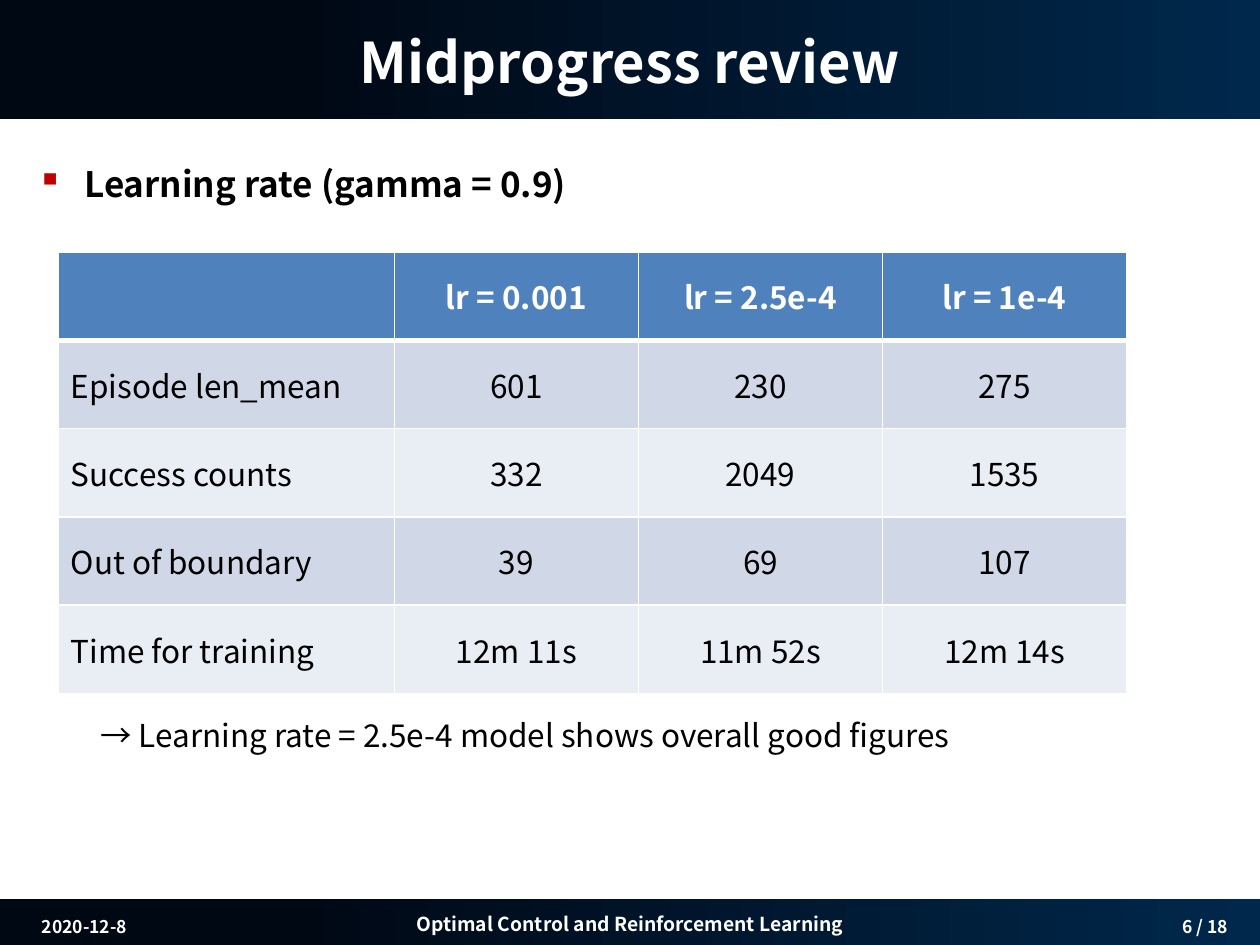
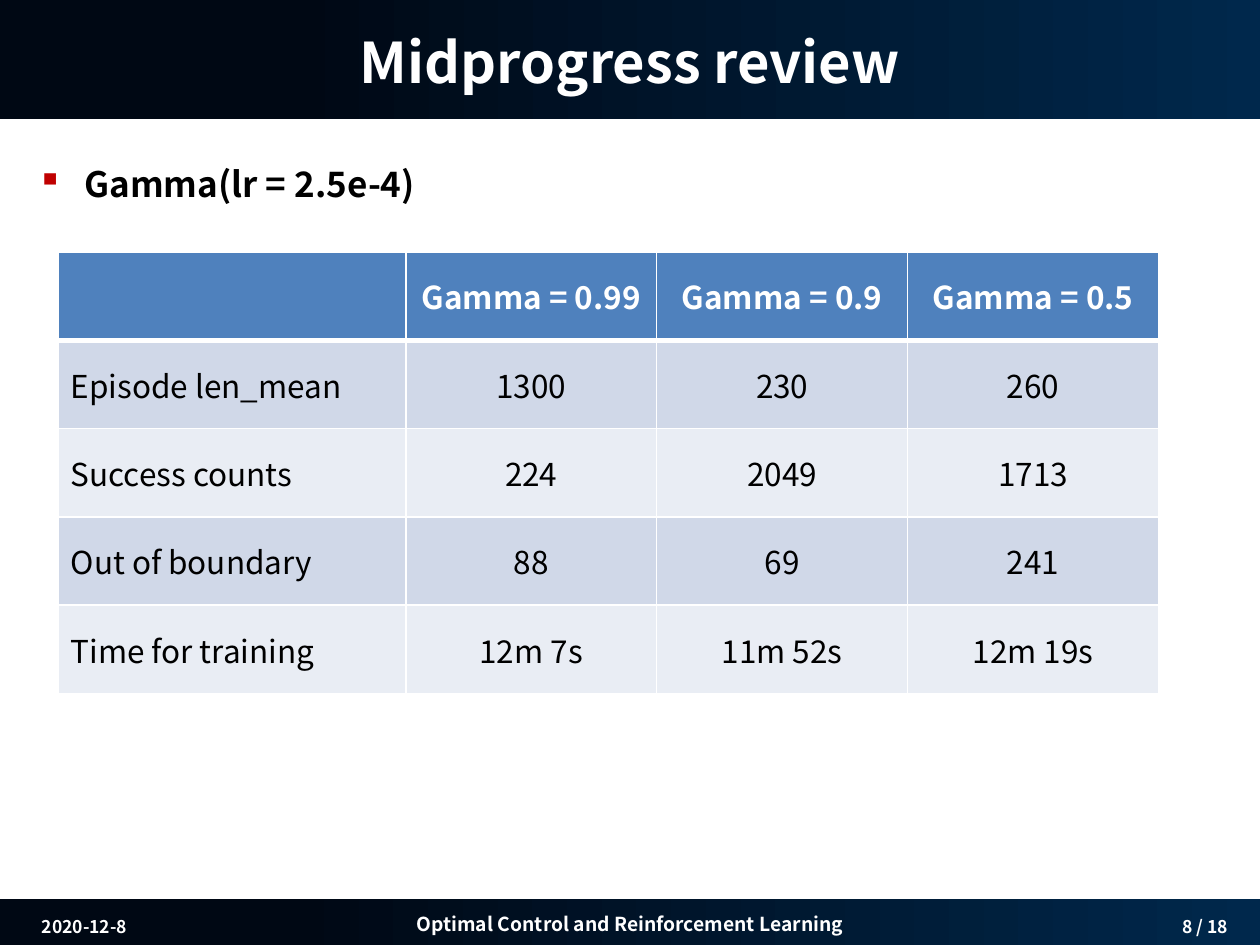
from lxml import etree
from pptx import Presentation
from pptx.dml.color import RGBColor
from pptx.enum import shapes, text
from pptx.oxml import ns
from pptx.util import Cm, Pt

FONT = "Noto Sans CJK KR"
COLORS = {
    "white": "FFFFFF",
    "black": "000000",
    "band_light": "00284C",
    "band_dark": "000814",
    "bullet": "C00000",
    "header": "4F81BD",
    "row_odd": "D0D8E8",
    "row_even": "E9EDF4",
}
TITLE = "Midprogress review"
COURSE = "Optimal Control and Reinforcement Learning"
DATE = "2020-12-8"
PAGE_COUNT = 18
MEASURES = ["Episode len_mean", "Success counts", "Out of boundary", "Time for training"]
ROW_HEIGHT = Cm(1.78)

REVIEWS = [
    {
        "page": 6,
        "heading": "Learning rate (gamma = 0.9)",
        "settings": ["lr = 0.001", "lr = 2.5e-4", "lr = 1e-4"],
        "results": [
            ["601", "230", "275"],
            ["332", "2049", "1535"],
            ["39", "69", "107"],
            ["12m 11s", "11m 52s", "12m 14s"],
        ],
        "widths": (6.78, 4.92),
        "conclusion": "→ Learning rate = 2.5e-4 model shows overall good figures",
    },
    {
        "page": 8,
        "heading": "Gamma(lr = 2.5e-4)",
        "settings": ["Gamma = 0.99", "Gamma = 0.9", "Gamma = 0.5"],
        "results": [
            ["1300", "230", "260"],
            ["224", "2049", "1713"],
            ["88", "69", "241"],
            ["12m 7s", "11m 52s", "12m 19s"],
        ],
        "widths": (7.01, 5.06),
        "conclusion": None,
    },
]


def rgb(color):
    return RGBColor.from_string(COLORS[color])


def write(frame, words, size, color="black", bold=False, centred=False):
    """Fill a text frame with one formatted paragraph and return it."""
    frame.text = words
    paragraph = frame.paragraphs[0]
    paragraph.alignment = text.PP_ALIGN.CENTER if centred else text.PP_ALIGN.LEFT
    font = paragraph.font
    font.name, font.size, font.bold = FONT, Pt(size), bold
    font.color.rgb = rgb(color)
    return paragraph


def add_label(slide, box, words, size, **style):
    label = slide.shapes.add_textbox(*map(Cm, box))
    label.text_frame.word_wrap = True
    return write(label.text_frame, words, size, **style)


def add_band(slide, box):
    """Add a gradient band behind everything else on the slide."""
    band = slide.shapes.add_shape(shapes.MSO_SHAPE.RECTANGLE, *map(Cm, box))
    band.shadow.inherit = False
    band.line.fill.background()
    band.fill.gradient()
    band.fill.gradient_angle = 180
    light, dark = band.fill.gradient_stops
    light.color.rgb, light.position = rgb("band_light"), 0
    dark.color.rgb, dark.position = rgb("band_dark"), 0.77
    slide.shapes.element.insert(2, band.element)
    return band


def add_title(slide):
    title = slide.shapes.title
    title.left, title.top, title.width, title.height = map(Cm, (0.5, 0.38, 24.4, 1.7))
    title.text_frame.vertical_anchor = text.MSO_ANCHOR.MIDDLE
    write(title.text_frame, TITLE, 32, "white", bold=True, centred=True)


def add_footer(slide, page):
    band = add_band(slide, (-0.02, 18.13, 25.45, 0.97))
    band.text_frame.word_wrap = False
    band.text_frame.vertical_anchor = text.MSO_ANCHOR.MIDDLE
    write(band.text_frame, COURSE, 11, "white", bold=True, centred=True)
    notes = [
        ((23.3, 18.34, 1.98, 0.69), f"{page} / {PAGE_COUNT}"),
        ((0.1, 18.34, 3.2, 0.69), DATE),
    ]
    for box, words in notes:
        note = add_label(slide, box, words, 10, color="white", bold=True, centred=True)
        note.space_before = Pt(2)


def add_heading(slide, words):
    heading = add_label(slide, (0.5, 2.72, 24.4, 1.8), words, 20, bold=True)
    heading.line_spacing = 1.5
    heading.space_before = Pt(4)
    properties = heading._p.get_or_add_pPr()
    properties.set("marL", str(Cm(0.95)))
    properties.set("indent", str(-Cm(0.95)))
    bullet_color = etree.SubElement(properties, ns.qn("a:buClr"))
    etree.SubElement(bullet_color, ns.qn("a:srgbClr"), val=COLORS["bullet"])
    etree.SubElement(properties, ns.qn("a:buChar"), char="▪")


def add_borders(cell, widths):
    """Draw white cell borders; widths maps a:ln tags to points."""
    properties = cell._tc.get_or_add_tcPr()
    for tag, width in widths.items():
        border = etree.SubElement(properties, ns.qn(tag), w=str(Pt(width)))
        fill = etree.SubElement(border, ns.qn("a:solidFill"))
        etree.SubElement(fill, ns.qn("a:srgbClr"), val=COLORS["white"])


def add_results(slide, settings, results, widths):
    rows = [["", *settings]]
    rows += [[measure, *values] for measure, values in zip(MEASURES, results)]
    measure_width, setting_width = map(Cm, widths)
    total_width = measure_width + setting_width * len(settings)
    table = slide.shapes.add_table(
        len(rows), len(rows[0]), Cm(1.17), Cm(5.08), total_width, ROW_HEIGHT * len(rows)
    ).table
    for index, column in enumerate(table.columns):
        column.width = setting_width if index else measure_width

    for r, row in enumerate(rows):
        header = r == 0
        background = "header" if header else "row_odd" if r % 2 else "row_even"
        borders = {
            "a:lnL": 1,
            "a:lnR": 1,
            "a:lnT": 3 if r == 1 else 1,
            "a:lnB": 3 if header else 1,
        }
        for c, words in enumerate(row):
            cell = table.cell(r, c)
            add_borders(cell, borders)
            cell.fill.solid()
            cell.fill.fore_color.rgb = rgb(background)
            cell.vertical_anchor = text.MSO_ANCHOR.MIDDLE
            write(cell.text_frame, words, 18, "white" if header else "black",
                  bold=header, centred=c > 0)


def add_review(deck, review):
    slide = deck.slides.add_slide(deck.slide_layouts[5])
    add_band(slide, (0, 0, 25.43, 2.41))
    add_title(slide)
    add_footer(slide, review["page"])
    add_heading(slide, review["heading"])
    add_results(slide, review["settings"], review["results"], review["widths"])
    if review["conclusion"]:
        add_label(slide, (1.77, 14.3, 23.1, 1.2), review["conclusion"], 18)


def main():
    deck = Presentation()
    deck.slide_width, deck.slide_height = Cm(25.4), Cm(19.05)
    for review in REVIEWS:
        add_review(deck, review)
    deck.save("out.pptx")


if __name__ == "__main__":
    main()
